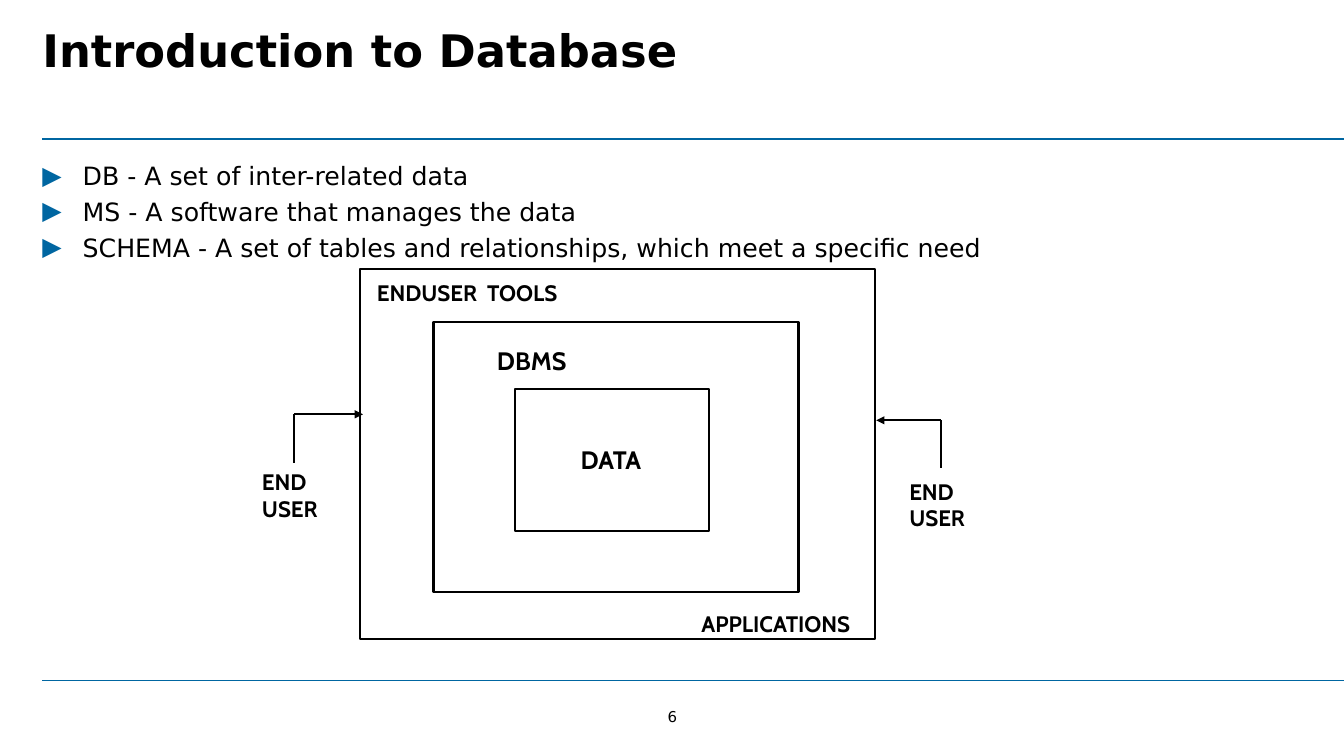
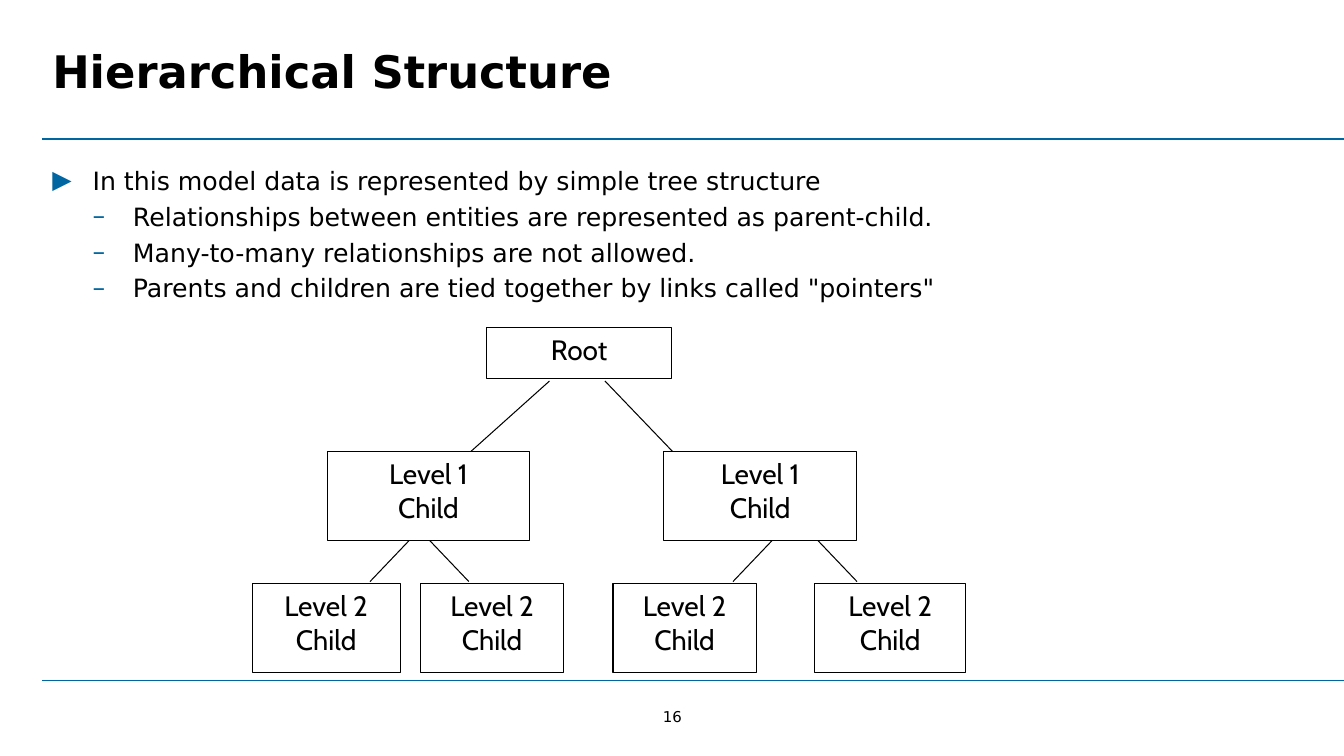
from dataclasses import dataclass

from lxml.etree import SubElement
from pptx import Presentation
from pptx.dml.color import RGBColor
from pptx.enum.shapes import MSO_CONNECTOR, MSO_SHAPE
from pptx.enum.text import MSO_ANCHOR, PP_ALIGN
from pptx.oxml.ns import qn
from pptx.presentation import Presentation as Deck
from pptx.slide import Slide
from pptx.text.text import TextFrame, _Paragraph as Paragraph
from pptx.util import Emu, Pt

EMU_PER_PX = 9144
SLIDE_WIDTH, SLIDE_HEIGHT = 1333, 750
MARGIN_LEFT, CONTENT_WIDTH = 42, 1265
RULE_TOPS = (138, 675)
INDENT = 40
BLACK, WHITE, BLUE = "000000", "FFFFFF", "0066A1"
HEADING_FONT, DIAGRAM_FONT = "DejaVu Sans", "Cabin"
BULLETS = ("▶", "–")


@dataclass(frozen=True)
class TextStyle:
    size: float
    font: str = HEADING_FONT
    bold: bool = False
    align: PP_ALIGN = PP_ALIGN.LEFT
    space_after: int = 0


@dataclass(frozen=True)
class Box:
    left: int
    top: int
    width: int
    height: int
    lines: tuple[str, ...] = ()
    style: TextStyle | None = None
    line_color: str = BLACK
    line_width: float = 0.75


@dataclass(frozen=True)
class Line:
    start: tuple[int, int]
    end: tuple[int, int]
    width: float = 0.75
    color: str = BLACK
    arrow: bool = False


@dataclass(frozen=True)
class Bullet:
    text: str
    level: int = 0


@dataclass(frozen=True)
class Page:
    number: int
    title: str
    title_anchor: MSO_ANCHOR
    title_inset: int
    body_inset: tuple[int, int]
    bullets: tuple[Bullet, ...]
    diagram: tuple[Box | Line, ...]


TITLE = TextStyle(32, bold=True)
BODY = TextStyle(18, space_after=4)
PAGE_NUMBER = TextStyle(10.7, align=PP_ALIGN.CENTER)
TOOL = TextStyle(16, DIAGRAM_FONT, True)
TOOL_CENTERED = TextStyle(16, DIAGRAM_FONT, True, PP_ALIGN.CENTER)
CORE = TextStyle(18, DIAGRAM_FONT, True)
CORE_CENTERED = TextStyle(18, DIAGRAM_FONT, True, PP_ALIGN.CENTER)
NODE = TextStyle(20, DIAGRAM_FONT, align=PP_ALIGN.CENTER)


def px(length: int) -> Emu:
    return Emu(length * EMU_PER_PX)


def color(value: str) -> RGBColor:
    return RGBColor.from_string(value)


def frame(left: int, top: int, width: int, height: int) -> tuple[Emu, ...]:
    return px(left), px(top), px(width), px(height)


def style_paragraph(paragraph: Paragraph, style: TextStyle) -> None:
    paragraph.alignment = style.align
    paragraph.space_after = Pt(style.space_after)
    paragraph.font.size = Pt(style.size)
    paragraph.font.name = style.font
    paragraph.font.bold = style.bold
    paragraph.font.color.rgb = color(BLACK)


def add_bullet(paragraph: Paragraph, level: int) -> None:
    paragraph.level = level
    properties = paragraph._p.get_or_add_pPr()
    properties.set("marL", str(px(INDENT * (level + 1))))
    properties.set("indent", str(-px(INDENT)))
    bullet_color = SubElement(properties, qn("a:buClr"))
    SubElement(bullet_color, qn("a:srgbClr"), val=BLUE)
    SubElement(properties, qn("a:buFont"), typeface=HEADING_FONT)
    SubElement(properties, qn("a:buChar"), char=BULLETS[level])


def write_text(
    text_frame: TextFrame,
    lines: tuple[str | Bullet, ...],
    style: TextStyle,
    inset: tuple[int, int] = (10, 5),
    anchor: MSO_ANCHOR = MSO_ANCHOR.TOP,
) -> None:
    text_frame.word_wrap = True
    text_frame.vertical_anchor = anchor
    text_frame.margin_left = text_frame.margin_right = px(inset[0])
    text_frame.margin_top = text_frame.margin_bottom = px(inset[1])
    for index, line in enumerate(lines):
        paragraph = text_frame.add_paragraph() if index else text_frame.paragraphs[0]
        if isinstance(line, Bullet):
            paragraph.text = line.text
            add_bullet(paragraph, line.level)
        else:
            paragraph.text = line
        style_paragraph(paragraph, style)


def draw_box(slide: Slide, box: Box) -> None:
    shape = slide.shapes.add_shape(
        MSO_SHAPE.RECTANGLE, *frame(box.left, box.top, box.width, box.height)
    )
    shape.shadow.inherit = False
    shape.fill.solid()
    shape.fill.fore_color.rgb = color(WHITE)
    shape.line.color.rgb = color(box.line_color)
    shape.line.width = Pt(box.line_width)
    if box.style:
        write_text(shape.text_frame, box.lines, box.style)


def draw_line(slide: Slide, line: Line) -> None:
    connector = slide.shapes.add_connector(
        MSO_CONNECTOR.STRAIGHT, *map(px, line.start + line.end)
    )
    connector.line.color.rgb = color(line.color)
    connector.line.width = Pt(line.width)
    if line.arrow:
        SubElement(connector.line._get_or_add_ln(), qn("a:tailEnd"), type="triangle")
    SubElement(connector._element.spPr, qn("a:effectLst"))


def draw_page(presentation: Deck, page: Page) -> None:
    slide = presentation.slides.add_slide(presentation.slide_layouts[6])
    number = slide.shapes.add_textbox(*frame(654, 702, 26, 18))
    write_text(
        number.text_frame, (str(page.number),), PAGE_NUMBER, (0, 0), MSO_ANCHOR.MIDDLE
    )
    for top in RULE_TOPS:
        draw_line(slide, Line((MARGIN_LEFT, top), (SLIDE_WIDTH, top), 1.25, BLUE))
    title = slide.shapes.add_textbox(*frame(MARGIN_LEFT, 18, CONTENT_WIDTH, 105))
    write_text(
        title.text_frame, (page.title,), TITLE, (page.title_inset, 5), page.title_anchor
    )
    for item in page.diagram:
        if isinstance(item, Box):
            draw_box(slide, item)
        else:
            draw_line(slide, item)
    body = slide.shapes.add_textbox(*frame(MARGIN_LEFT, 159, CONTENT_WIDTH, 496))
    write_text(body.text_frame, page.bullets, BODY, page.body_inset)


def outline(left: int, top: int, width: int, height: int) -> Box:
    return Box(left, top, width, height, line_width=1.5)


def label(
    left: int, top: int, width: int, height: int, text: str, style: TextStyle
) -> Box:
    return Box(left, top, width, height, (text,), style, WHITE)


def child(left: int, top: int, width: int, level: int) -> Box:
    return Box(left, top, width, 88, (f"Level {level}", "Child"), NODE)


DATABASE_LAYERS = (
    outline(357, 267, 511, 367),
    outline(430, 319, 362, 268),
    label(364, 272, 203, 27, "ENDUSER  TOOLS", TOOL),
    label(675, 600, 189, 24, "APPLICATIONS", TOOL_CENTERED),
    outline(511, 386, 192, 141),
    label(483, 338, 111, 29, "DBMS", CORE),
    label(523, 436, 166, 28, "DATA", CORE_CENTERED),
    Line((292, 411), (292, 459), 1.5),
    Line((292, 411), (360, 411), 1.5, arrow=True),
    label(250, 460, 88, 64, "END \nUSER", TOOL),
    Line((933, 417), (869, 417), 1.5, arrow=True),
    Line((933, 417), (933, 464), 1.5),
    label(892, 469, 91, 65, "END \nUSER", TOOL),
)

TREE = (
    Line((545, 378), (458, 456)),
    Line((600, 378), (670, 451)),
    *(
        Line((start, 535), (end, 577))
        for start, end in ((407, 367), (425, 465), (767, 727), (810, 850))
    ),
    Box(483, 325, 183, 51, ("Root",), NODE),
    *(child(left, 448, width, 1) for left, width in ((325, 200), (658, 192))),
    *(
        child(left, 579, width, 2)
        for left, width in ((250, 147), (417, 142), (608, 142), (808, 150))
    ),
)

PAGES = (
    Page(
        6,
        "Introduction to Database",
        MSO_ANCHOR.TOP,
        0,
        (0, 0),
        (
            Bullet("DB - A set of inter-related data"),
            Bullet("MS - A software that manages the data"),
            Bullet(
                "SCHEMA - A set of tables and relationships, which meet a specific need"
            ),
        ),
        DATABASE_LAYERS,
    ),
    Page(
        16,
        "Hierarchical Structure",
        MSO_ANCHOR.MIDDLE,
        10,
        (10, 5),
        (
            Bullet("In this model data is represented by simple tree structure"),
            Bullet("Relationships between entities are represented as parent-child.", 1),
            Bullet("Many-to-many relationships are not allowed.", 1),
            Bullet('Parents and children are tied together by links called "pointers"', 1),
        ),
        TREE,
    ),
)


def main() -> None:
    presentation = Presentation()
    presentation.slide_width = px(SLIDE_WIDTH)
    presentation.slide_height = px(SLIDE_HEIGHT)
    for page in PAGES:
        draw_page(presentation, page)
    presentation.save("out.pptx")


if __name__ == "__main__":
    main()
